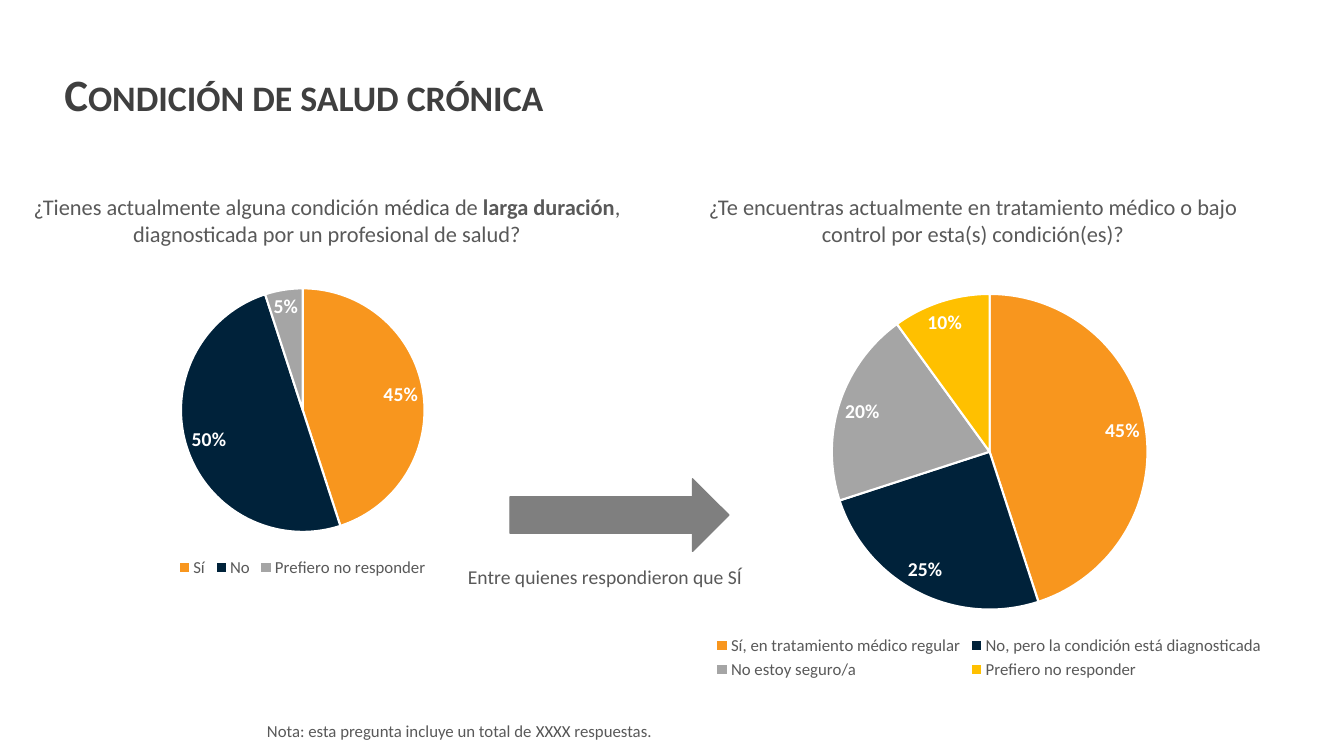
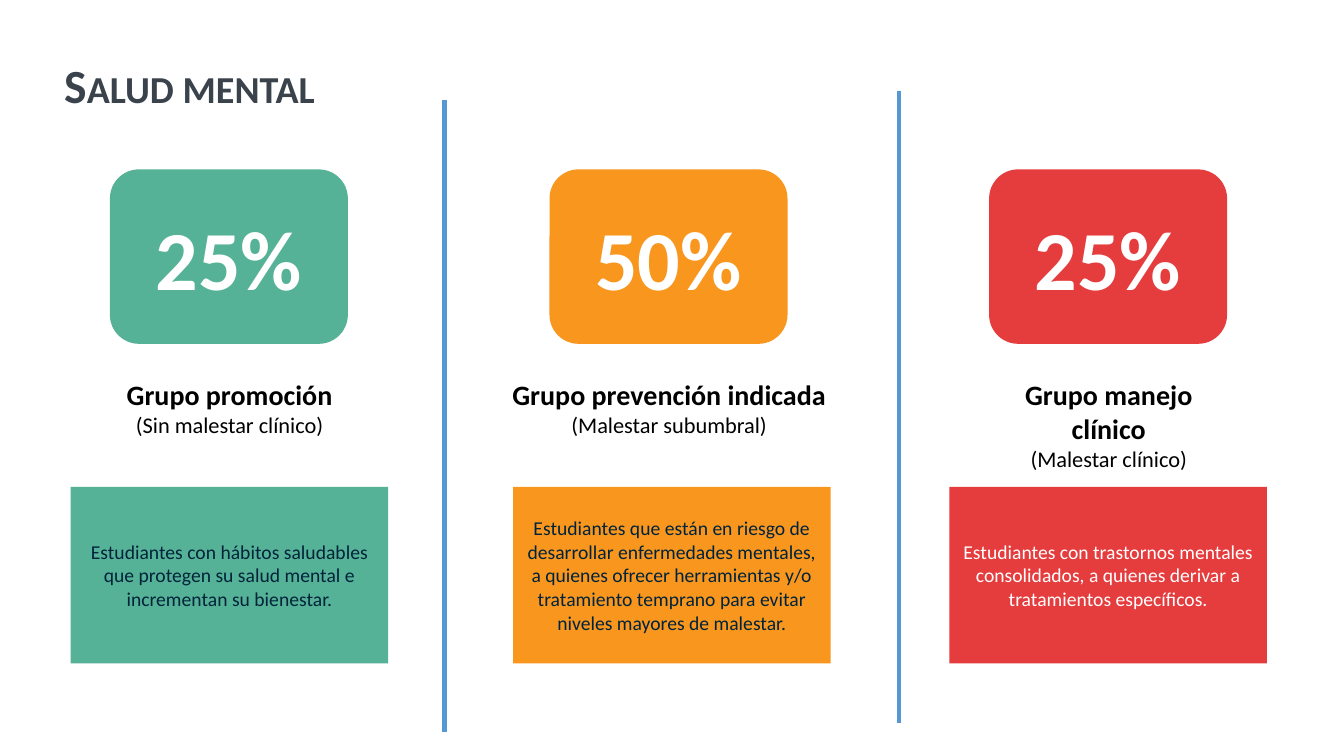
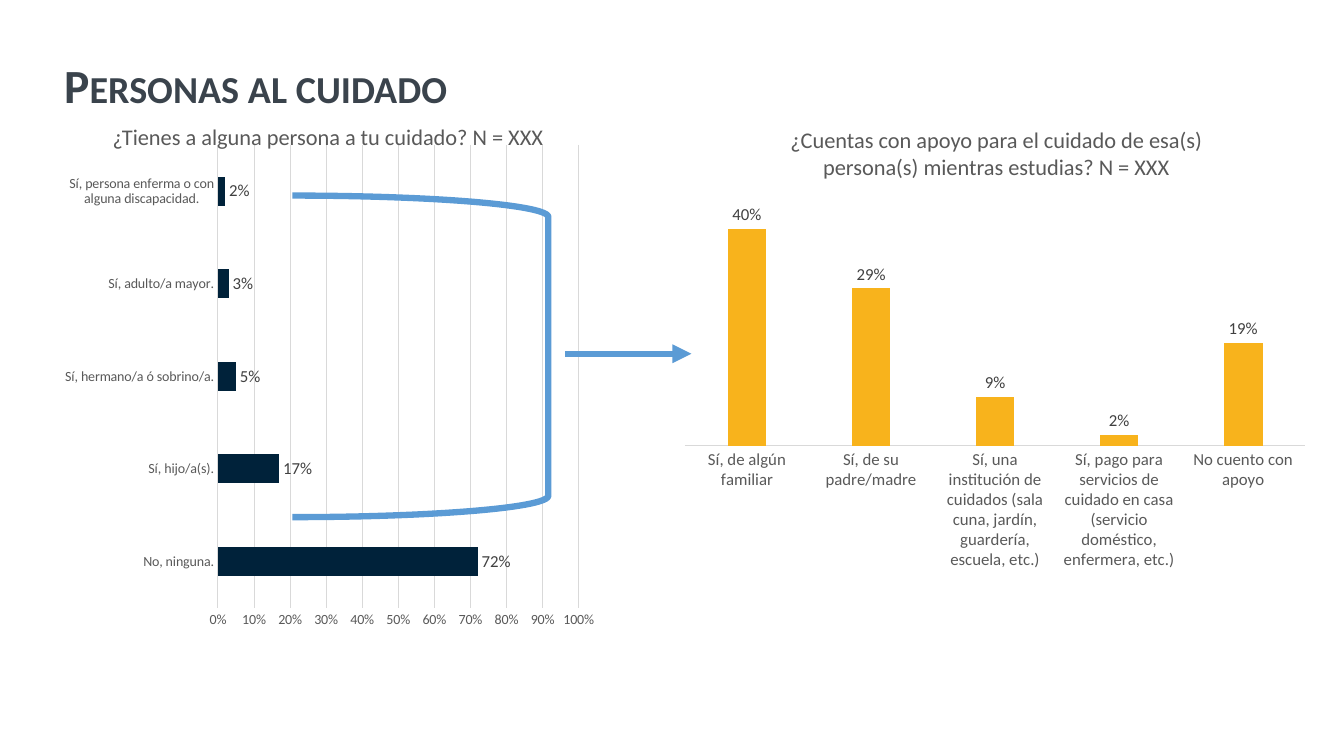
import pptx
import pptx.util
import pptx.chart.data
import pptx.dml.color
import pptx.enum.chart
import pptx.enum.shapes
import pptx.enum.text
import pptx.oxml
import pptx.oxml.ns

Pt = pptx.util.Pt
KIND = pptx.enum.chart.XL_CHART_TYPE
SPOT = pptx.enum.chart.XL_LABEL_POSITION
TICK = pptx.enum.chart.XL_TICK_MARK
FORM = pptx.enum.shapes.MSO_SHAPE
ALIGN = pptx.enum.text.PP_ALIGN
ANCHOR = pptx.enum.text.MSO_ANCHOR

# Shared look
FONT = "Calibri"
WHITE, BLACK, NAVY, INK = "FFFFFF", "000000", "00223A", "00233B"
GREY, DARK, SLATE, CHAR = "595959", "525252", "3A434C", "3F3F3F"
ORANGE, SILVER, GOLD, AMBER = "F8961E", "A5A5A5", "FFC000", "F8B31C"
GREEN, RED, BLUE, SKY = "55B296", "E53C3E", "5698D3", "5B9BD5"
STEEL, RULE, LABEL = "7F7F7F", "D9D9D9", "404040"

# Slide 1: box is the chart, plot the pie inside it (left, top, width, height)
PIES = [
    dict(ask=[("¿Tienes actualmente alguna condición ", {}), ("médica", {"color": DARK}),
              (" de ", {}), ("larga duración", {"bold": True}),
              (", diagnosticada por un profesional de salud?", {})],
         spot=(15.1, 134.6, 437, 65.5),
         box=(0, 175, 432, 240.5), plot=(129.3, 206, 174, 174),
         data=[("Sí", 0.45, ORANGE), ("No", 0.5, NAVY),
               ("Prefiero no responder", 0.05, SILVER)]),
    dict(ask=[("¿Te encuentras actualmente en tratamiento médico o bajo control "
               "por esta(s) condición(es)?", {})],
         spot=(476.6, 134.6, 437, 46),
         box=(476.6, 181.4, 460, 306.7), plot=(594.2, 210, 225.5, 225.5),
         data=[("Sí, en tratamiento médico regular", 0.45, ORANGE),
               ("No, pero la condición está diagnosticada", 0.25, NAVY),
               ("No estoy seguro/a", 0.2, SILVER),
               ("Prefiero no responder", 0.1, GOLD)]),
]
NOTE = [("Nota: esta pregunta incluye un total de ", {}), ("XXXX", {"color": DARK}),
        (" respuestas.", {})]

# Slide 2: share, group, state, fill, ink, label width, left of body, body
GROUPS = [
    ("25%", "Grupo promoción", "(Sin malestar clínico)", GREEN, INK, 184, 50.5,
     "Estudiantes con hábitos saludables que protegen su salud mental e "
     "incrementan su bienestar."),
    ("50%", "Grupo prevención indicada", "(Malestar subumbral)", ORANGE, INK, 240, 366.5,
     "Estudiantes que están en riesgo de desarrollar enfermedades mentales, a quienes "
     "ofrecer herramientas y/o tratamiento temprano para evitar niveles mayores de malestar."),
    ("25%", "Grupo manejo clínico", "(Malestar clínico)", RED, WHITE, 184, 678.2,
     "Estudiantes con trastornos mentales consolidados, a quienes derivar a "
     "tratamientos específicos."),
]
SPLITS = [(317.5, 71.3), (642.2, 64.8)]

# Slide 3
CARE = [("No, ninguna.", 0.72), ("Sí, hijo/a(s).", 0.17),
        ("Sí, hermano/a ó sobrino/a.", 0.05), ("Sí, adulto/a mayor.", 0.03),
        ("Sí, persona enferma o con alguna discapacidad.", 0.02)]
HELP = [("Sí, de algún familiar", 0.4), ("Sí, de su padre/madre", 0.29),
        ("Sí, una institución de cuidados (sala cuna, jardín, guardería, escuela, etc.)", 0.09),
        ("Sí, pago para servicios de cuidado en casa (servicio doméstico, enfermera, etc.)", 0.02),
        ("No cuento con apoyo", 0.19)]


def hue(code):
    return pptx.dml.color.RGBColor.from_string(code)


def pts(box):
    return [Pt(v) for v in box]


def style(font, size, color, bold=False):
    font.name, font.size, font.bold = FONT, Pt(size), bold
    font.color.rgb = hue(color)


def stroke(line, color, width):
    line.color.rgb = hue(color)
    line.width = Pt(width)


def write(shape, paras, align=ALIGN.CENTER, anchor=ANCHOR.TOP):
    """Each para is (text or runs, size, colour, bold)."""
    frame = shape.text_frame
    frame.word_wrap = True
    frame.vertical_anchor = anchor
    for i, (runs, size, color, bold) in enumerate(paras):
        para = frame.add_paragraph() if i else frame.paragraphs[0]
        para.alignment = align
        style(para.font, size, color, bold)
        for words, extra in [(runs, {})] if isinstance(runs, str) else runs:
            run = para.add_run()
            run.text = words
            if "color" in extra:
                run.font.color.rgb = hue(extra["color"])
            if "bold" in extra:
                run.font.bold = extra["bold"]


def text(slide, box, runs, size=16, color=GREY, **opts):
    shape = slide.shapes.add_textbox(*pts(box))
    write(shape, [(runs, size, color, False)], **opts)


def title(slide, words, box=(38.9, 28.8, 916.6, 67.7), size=34, color=SLATE):
    shape = slide.shapes.add_textbox(*pts(box))
    write(shape, [(words, size, color, True)], ALIGN.LEFT, ANCHOR.MIDDLE)
    para = shape.text_frame.paragraphs[0]
    para.line_spacing = 0.9
    para.runs[0]._r.get_or_add_rPr().set("cap", "small")


def block(slide, form, box, fill=None, line=None, width=0.75):
    shape = slide.shapes.add_shape(form, *pts(box))
    shape.shadow.inherit = False
    if fill:
        shape.fill.solid()
        shape.fill.fore_color.rgb = hue(fill)
    else:
        shape.fill.background()
    if line:
        stroke(shape.line, line, width)
    else:
        shape.line.fill.background()
    return shape


def rule(slide, ends, color, width, arrow=False):
    link = slide.shapes.add_connector(pptx.enum.shapes.MSO_CONNECTOR.STRAIGHT, *pts(ends))
    stroke(link.line, color, width)
    if arrow:
        tail = pptx.oxml.parse_xml(
            '<a:tailEnd %s type="triangle"/>' % pptx.oxml.ns.nsdecls("a"))
        link.line._get_or_add_ln().append(tail)
    link._element.spPr.append(
        pptx.oxml.parse_xml("<a:effectLst %s/>" % pptx.oxml.ns.nsdecls("a")))


def pin(chart, box, plot):
    """Fix the inner plot area, given in slide points."""
    left, top, wide, high = box
    parts = [("x", (plot[0] - left) / wide), ("y", (plot[1] - top) / high),
             ("w", plot[2] / wide), ("h", plot[3] / high)]
    body = '<c:layoutTarget val="inner"/><c:xMode val="edge"/><c:yMode val="edge"/>'
    body += "".join('<c:%s val="%.4f"/>' % part for part in parts)
    area = chart._chartSpace.chart.plotArea
    for old in area.findall(pptx.oxml.ns.qn("c:layout")):
        area.remove(old)
    area.insert(0, pptx.oxml.parse_xml(
        "<c:layout %s><c:manualLayout>%s</c:manualLayout></c:layout>"
        % (pptx.oxml.ns.nsdecls("c"), body)))


def graph(slide, kind, box, plot, data, size, color, spot, bold=False):
    feed = pptx.chart.data.CategoryChartData(number_format="0%")
    feed.categories = [row[0] for row in data]
    feed.add_series("Series 1", [row[1] for row in data])
    chart = slide.shapes.add_chart(kind, *pts(box), feed).chart
    chart.has_title = chart.has_legend = False
    style(chart.font, 12, GREY)
    pin(chart, box, plot)
    area = chart.plots[0]
    area.has_data_labels = True
    tags = area.data_labels
    tags.show_value = True
    tags.number_format, tags.number_format_is_linked = "0%", False
    tags.position = spot
    style(tags.font, size, color, bold)
    return chart


def pie(slide, box, plot, data):
    chart = graph(slide, KIND.PIE, box, plot, data, 14, WHITE, SPOT.BEST_FIT, True)
    chart.plots[0].vary_by_categories = True
    chart.has_legend = True
    chart.legend.position = pptx.enum.chart.XL_LEGEND_POSITION.BOTTOM
    chart.legend.include_in_layout = False
    style(chart.legend.font, 12, GREY)
    for i, row in enumerate(data):
        look = chart.plots[0].series[0].points[i].format
        look.fill.solid()
        look.fill.fore_color.rgb = hue(row[2])
        stroke(look.line, WHITE, 1.5)


def bars(slide, kind, box, plot, data, color, top, size):
    chart = graph(slide, kind, box, plot, data, 12, LABEL, SPOT.OUTSIDE_END)
    area = chart.plots[0]
    area.vary_by_categories = False
    area.gap_width = 219
    fill = area.series[0].format.fill
    fill.solid()
    fill.fore_color.rgb = hue(color)
    for axis in (chart.category_axis, chart.value_axis):
        axis.major_tick_mark = axis.minor_tick_mark = TICK.NONE
        axis.has_major_gridlines = False
        style(axis.tick_labels.font, size, GREY)
    stroke(chart.category_axis.format.line, RULE, 0.75)
    scale = chart.value_axis
    scale.minimum_scale, scale.maximum_scale = 0, top
    scale.tick_labels.number_format = "0%"
    scale.tick_labels.number_format_is_linked = False
    scale.format.line.fill.background()
    return chart


def chronic(slide):
    title(slide, "Condición de salud crónica", (38.9, 17.3, 916.6, 104.4), 32, CHAR)
    for item in PIES:
        text(slide, item["spot"], item["ask"])
        pie(slide, item["box"], item["plot"], item["data"])
    block(slide, FORM.RIGHT_ARROW, (364.3, 342, 156.3, 51.8), STEEL, STEEL, 1)
    text(slide, (213.8, 400.3, 437, 24.5), "Entre quienes respondieron que SÍ", 14)
    text(slide, (183.6, 511.2, 531.4, 21.6), NOTE, 12, align=ALIGN.LEFT)


def mental(slide):
    title(slide, "Salud mental")
    for i, (share, group, state, fill, ink, wide, left, body) in enumerate(GROUPS):
        mid = 163.5 + 314 * i
        card = block(slide, FORM.ROUNDED_RECTANGLE, (mid - 85, 121, 170, 124.6), fill)
        write(card, [(share, 60, WHITE, True)], anchor=ANCHOR.MIDDLE)
        head = slide.shapes.add_textbox(*pts((mid + 0.5 - wide / 2, 266.4, wide, 51)))
        write(head, [(group, 20, BLACK, True), (state, 16, BLACK, False)])
        panel = block(slide, FORM.RECTANGLE, (left, 347.8, 226.8, 126), fill)
        write(panel, [(body, 14, ink, False)], anchor=ANCHOR.MIDDLE)
    for x, y in SPLITS:
        rule(slide, (x, y, x, y + 451.4), BLUE, 3)


def caring(slide):
    chart = bars(slide, KIND.COLUMN_CLUSTERED, (480.2, 139.7, 462.2, 272.9),
                 (489.3, 144, 443, 174.6), HELP, AMBER, 0.45, 12)
    chart.plots[0].overlap = -27
    chart.value_axis.visible = False
    chart = bars(slide, KIND.BAR_CLUSTERED, (38.9, 96.5, 393.8, 358.6),
                 (155.7, 103.6, 257.7, 330.5), CARE, NAVY, 1, 10)
    chart.value_axis.major_unit = 0.1
    chart.value_axis.has_major_gridlines = True
    stroke(chart.value_axis.major_gridlines.format.line, RULE, 0.75)
    block(slide, FORM.RIGHT_BRACKET, (208.8, 139.7, 182.9, 229.7), None, SKY, 4.5)
    rule(slide, (403.9, 252.7, 493.9, 252.7), SKY, 4.5, arrow=True)
    title(slide, "Personas al cuidado")
    text(slide, (555.8, 86.4, 311.8, 46),
         "¿Cuentas con apoyo para el cuidado de esa(s) persona(s) mientras estudias? N = XXX")
    text(slide, (65.5, 84.2, 337.7, 26.6), "¿Tienes a alguna persona a tu cuidado? N = XXX")


def main():
    deck = pptx.Presentation()
    deck.slide_width, deck.slide_height = Pt(960), Pt(540)
    for draw in (chronic, mental, caring):
        draw(deck.slides.add_slide(deck.slide_layouts[6]))
    deck.save("out.pptx")


if __name__ == "__main__":
    main()
